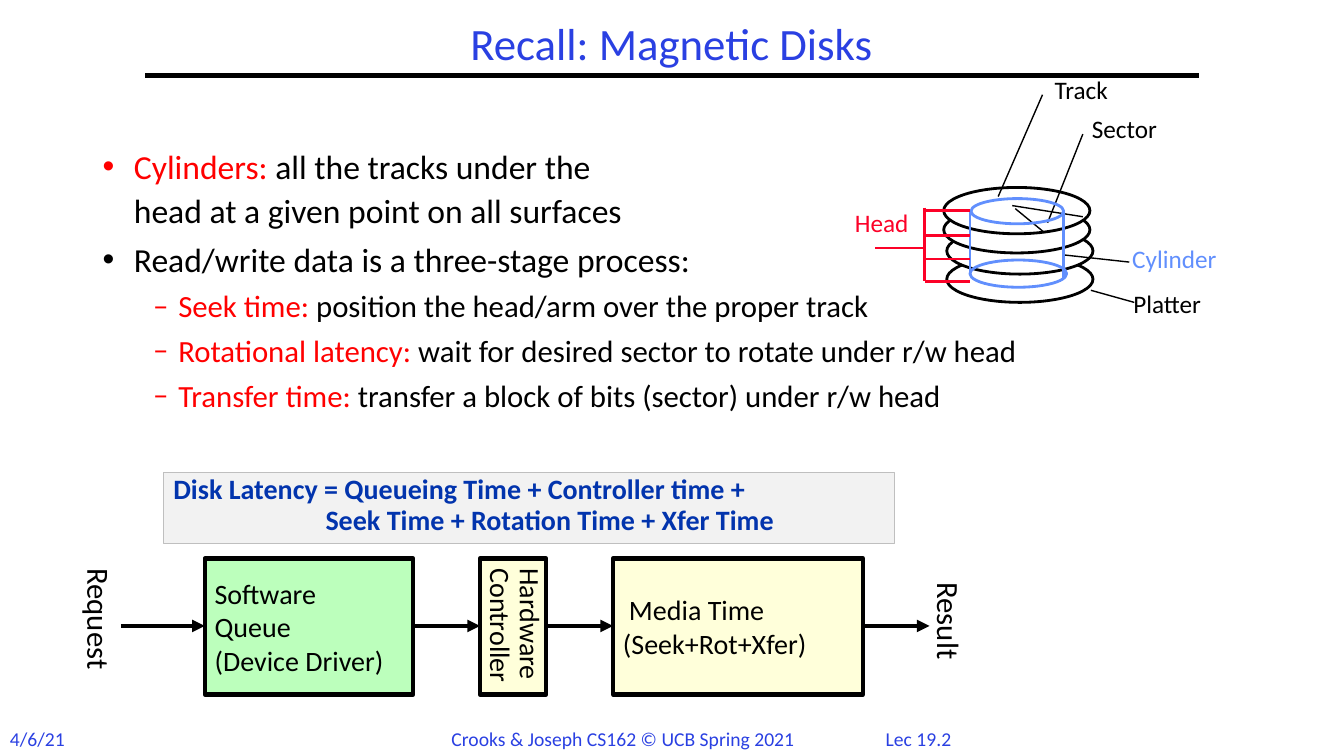
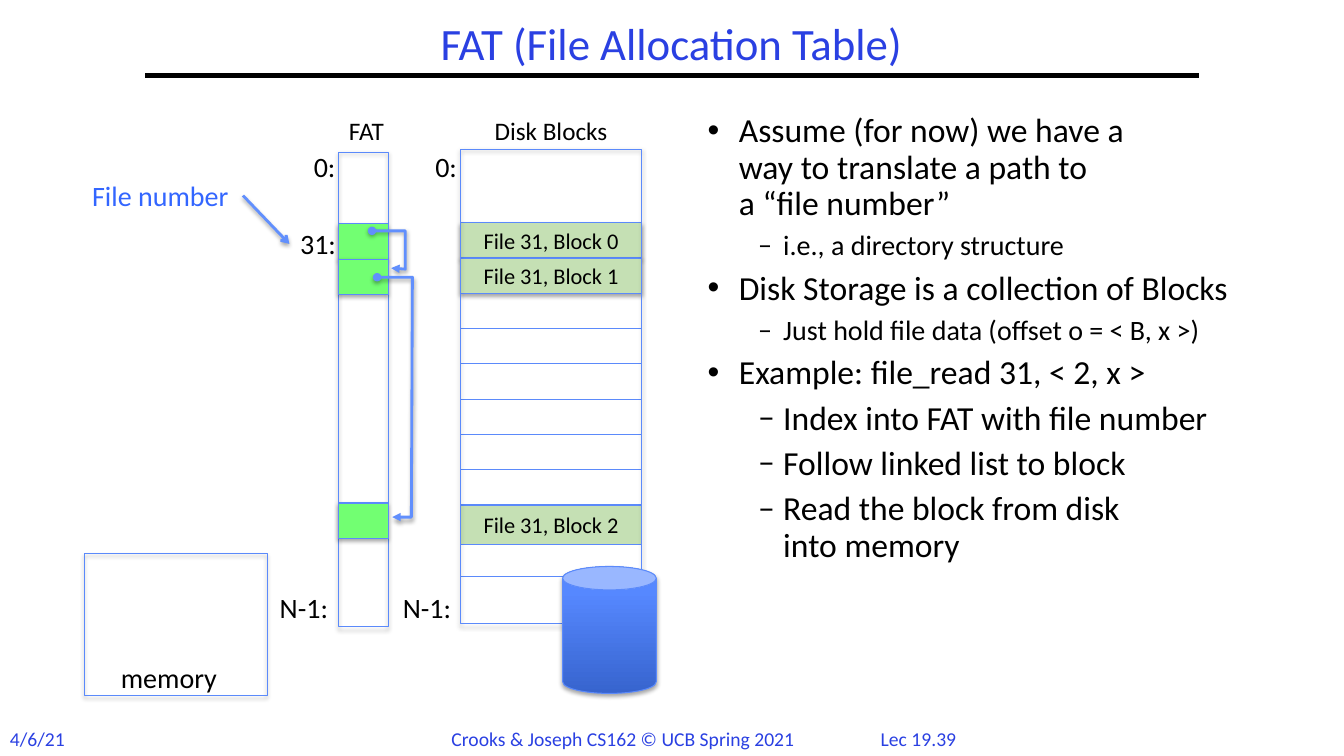
"""Build two lecture slides on magnetic disks and the file allocation table."""
import itertools

import pptx
import pptx.dml.color
import pptx.enum.shapes
import pptx.enum.text
import pptx.oxml
import pptx.oxml.ns
import pptx.util

Inches, Pt = pptx.util.Inches, pptx.util.Pt
SHAPE = pptx.enum.shapes.MSO_SHAPE
ALIGN = {"left": pptx.enum.text.PP_ALIGN.LEFT, "center": pptx.enum.text.PP_ALIGN.CENTER}
ANCHOR = {"top": pptx.enum.text.MSO_ANCHOR.TOP, "middle": pptx.enum.text.MSO_ANCHOR.MIDDLE}
FONT = "Calibri"
COLORS = {
    "black": "000000", "white": "FFFFFF", "title": "2A40E2", "key": "FF0000",
    "head": "FC0128", "cylinder": "618FFD", "queue": "BCFFBC", "stage": "FFFFDA",
    "formula": "0234AD", "formula_fill": "F2F2F2", "formula_edge": "BFBFBF",
    "edge": "5B8AFB", "fat": "72FF72", "block": "C5E0B4", "file": "3366FF",
    "can_low": "3764CE", "can_high": "5688FF",
}

FOOTER = [((0, 7.16, 0.8, 0.34), "4/6/21"),
          ((4.38, 7.16, 3.76, 0.34), "Crooks & Joseph CS162 © UCB Spring 2021")]
BULLETS = {0: ("•", 0.31, 0.31), 1: ("–", 0.75, 0.25)}

DISK_POINTS = [
    (0, 24, [("Cylinders: ", "key"),
             ("all the tracks under the \nhead at a given point on all surfaces", "black")]),
    (0, 24, [("Read/write data is a three-stage process:", "black")]),
    (1, 22, [("Seek time: ", "key"), ("position the head/arm over the proper track", "black")]),
    (1, 22, [("Rotational latency: ", "key"),
             ("wait for desired sector to rotate under r/w head", "black")]),
    (1, 22, [("Transfer time: ", "key"),
             ("transfer a block of bits (sector) under r/w head", "black")]),
]
PLATTERS = [(9.39, 2.54), (9.39, 2.26), (9.36, 2.05), (9.36, 1.86)]
CYLINDER_RIMS = [(9.62, 2.58, 0.96, 0.27), (9.63, 1.97, 0.92, 0.25)]
CYLINDER_SIDES = [(9.62, 2.09, 9.62, 2.71), (10.55, 2.09, 10.55, 2.76)]
SECTOR_EDGES = [(10.07, 2.07, 10.35, 2.3), (10.04, 2.04, 10.74, 2.15)]
LEADERS = [(10.39, 2.21, 10.74, 1.33), (9.9, 1.95, 10.34, 0.94),
           (10.56, 2.53, 11.2, 2.6), (10.82, 2.88, 11.25, 3)]
HEAD_ARMS = [2.09, 2.34, 2.57, 2.79]
HEAD_FRAME = [(9.17, 2.06, 9.17, 2.79), (8.68, 2.46, 9.18, 2.46)]
DISK_LABELS = [
    ((10.76, 1.14, 0.87, 0.31), "Sector", "black"),
    ((10.39, 0.75, 0.76, 0.31), "Track", "black"),
    ((11.16, 2.43, 1.07, 0.31), "Cylinder", "cylinder"),
    ((8.41, 2.07, 0.74, 0.31), "Head", "head"),
    ((11.17, 2.88, 0.87, 0.31), "Platter", "black"),
]
FORMULA = [("Disk Latency = Queueing Time + Controller time +", 0),
           ("Seek Time + Rotation Time + Xfer Time", 1.51)]
STAGES = [
    (2.03, 2.07, "queue", ["Software", "Queue", "(Device Driver)"], {}),
    (4.76, 0.66, "stage", ["Hardware", "Controller"],
     {"spacing": 0.8, "before": 2, "vert": "eaVert"}),
    (6.08, 2.48, "stage", ["Media Time", "(Seek+Rot+Xfer)"], {"indents": [0.06, 0]}),
]
FLOW_START, FLOW_END, FLOW_Y = 1.2, 9.22, 6.21
FLOW_ENDS = [((0.31, 5.98, 1.35, 0.47), "Request"), ((8.88, 5.98, 1.07, 0.47), "Result")]

FAT_POINTS = [
    (0, 24, [("Assume (for now) we have a \nway to translate a path to \na “file number”", "black")]),
    (1, 20, [("i.e., a directory structure", "black")]),
    (0, 24, [("Disk Storage is a collection of Blocks", "black")]),
    (1, 20, [("Just hold file data (offset o = < B, x >)", "black")]),
    (0, 24, [("Example: file_read 31, < 2, x >", "black")]),
    (1, 24, [("Index into FAT with file number", "black")]),
    (1, 24, [("Follow linked list to block", "black")]),
    (1, 24, [("Read the block from disk \ninto memory", "black")]),
]
BLOCK_X, BLOCK_W, BLOCK_TOP = 4.57, 1.79, 2.21
BLOCK_HEIGHTS = [0.35] * 8 + [0.39, 0.32]
FILE_BLOCKS = {0: "File 31, Block 0", 1: "File 31, Block 1", 8: "File 31, Block 2"}
FAT_X, FAT_W, FAT_ENTRIES = 3.36, 0.49, [2.22, 2.57, 4.99]
FRAMES = [(BLOCK_X, 1.48, BLOCK_W, 4.71), (FAT_X, 1.51, FAT_W, 4.71), (0.84, 5.49, 1.81, 1.41)]
FAT_LABELS = [
    ((4.61, 1.09, 1.71, 0.4), "Disk Blocks", 18, "black"),
    ((3.31, 1.09, 0.65, 0.4), "FAT", 18, "black"),
    ((3.86, 5.81, 0.75, 0.44), "N-1:", 20, "black"),
    ((4.19, 1.43, 0.47, 0.44), "0:", 20, "black"),
    ((3, 1.43, 0.44, 0.44), "0:", 20, "black"),
    ((2.65, 5.81, 0.73, 0.44), "N-1:", 20, "black"),
    ((2.86, 2.2, 0.59, 0.44), "31:", 20, "black"),
    ((0.75, 1.72, 1.68, 0.44), "File number", 20, "file"),
    ((1.07, 6.5, 1.21, 0.44), "memory", 20, "black"),
]
FAT_LINKS = [[(3.69, 2.29), (4.02, 2.29), (4.02, 2.67), (3.88, 2.66)],
             [(3.74, 2.75), (4.09, 2.75), (4.08, 5.13), (3.89, 5.13)]]


def rgb(name):
    return pptx.dml.color.RGBColor.from_string(COLORS[name])


def element(tag, parent, **attrs):
    el = pptx.oxml.parse_xml(f'<a:{tag} {pptx.oxml.ns.nsdecls("a")}/>')
    for key, value in attrs.items():
        el.set(key, str(value))
    parent.append(el)
    return el


def add_shadow(effects):
    shadow = element("outerShdw", effects, blurRad=Pt(3.1), dist=Pt(1.8), dir=5400000, rotWithShape=0)
    element("alpha", element("srgbClr", shadow, val=COLORS["black"]), val=35000)


def style_line(sp, color, width, head=None, tail=None):
    sp.line.color.rgb = rgb(color)
    sp.line.width = Pt(width)
    ln = sp.line._get_or_add_ln()
    for tag, kind in (("headEnd", head), ("tailEnd", tail)):
        if kind:
            element(tag, ln, type=kind)


def line(s, ends, color="black", width=1, tail=None, shadow=False):
    sp = s.shapes.add_connector(pptx.enum.shapes.MSO_CONNECTOR.STRAIGHT, *map(Inches, ends))
    style_line(sp, color, width, tail=tail)
    effects = element("effectLst", sp._element.spPr)
    if shadow:
        add_shadow(effects)
    return sp


def finish(sp, fill, shadow):
    if fill:
        sp.fill.solid()
        sp.fill.fore_color.rgb = rgb(fill)
    else:
        sp.fill.background()
    sp.shadow.inherit = False
    if shadow:
        add_shadow(sp._element.spPr.find(pptx.oxml.ns.qn("a:effectLst")))


def shape(s, kind, at, fill=None, edge="edge", width=0.75, shadow=False):
    sp = s.shapes.add_shape(kind, *map(Inches, at))
    style_line(sp, edge, width)
    finish(sp, fill, shadow)
    return sp


def frame(sp, anchor="top", inset=(0.1, 0.05)):
    tf = sp.text_frame
    tf.word_wrap = True
    tf.vertical_anchor = ANCHOR[anchor]
    tf.margin_left = tf.margin_right = Inches(inset[0])
    tf.margin_top = tf.margin_bottom = Inches(inset[1])
    return tf


def add_para(tf, first, runs, size, align="left", spacing=1.0, before=0, indent=0, bold=False):
    p = tf.paragraphs[0] if first else tf.add_paragraph()
    p.alignment = ALIGN[align]
    p.line_spacing = spacing
    p.space_before = Pt(0 if first else before)
    if indent:
        p._p.get_or_add_pPr().set("marL", str(Inches(indent)))
    for text, color in runs:
        for i, piece in enumerate(text.split("\n")):
            if i:
                p.add_line_break()
            r = p.add_run()
            r.text = piece
            r.font.name, r.font.size, r.font.bold = FONT, Pt(size), bold
            r.font.color.rgb = rgb(color)
    return p


def label(s, at, text, size, color="black", align="left", spacing=1.0, **box):
    sp = s.shapes.add_textbox(*map(Inches, at))
    add_para(frame(sp, **box), True, [(text, color)], size, align, spacing)
    return sp


def body(s, at, points, spacing, before):
    tf = frame(s.shapes.add_textbox(*map(Inches, at)))
    for i, (level, size, runs) in enumerate(points):
        char, left, hang = BULLETS[level]
        p = add_para(tf, i == 0, runs, size, spacing=spacing, before=before, indent=left)
        pPr = p._p.get_or_add_pPr()
        pPr.set("indent", str(-Inches(hang)))
        element("srgbClr", element("buClr", pPr), val=COLORS[runs[0][1]])
        element("buFont", pPr, typeface="Arial" if level == 0 else FONT)
        element("buChar", pPr, char=char)


def lecture_slide(prs, title, number):
    s = prs.slides.add_slide(prs.slide_layouts[6])
    line(s, (1.44, 0.75, 11.89, 0.75), width=3)
    for at, text in FOOTER:
        label(s, at, text, 14, "title")
    label(s, (8.5, 7.16, 1.22, 0.33), number, 14, "title", "center")
    label(s, (1.44, 0.17, 10.44, 0.58), title, 32, "title", "center", 0.9, anchor="middle")
    return s


def draw_disk(s):
    for x, y in PLATTERS:
        shape(s, SHAPE.OVAL, (x, y, 1.45, 0.46), "white", "black", 2)
    for ends in SECTOR_EDGES + LEADERS:
        line(s, ends)
    for at in CYLINDER_RIMS:
        shape(s, SHAPE.OVAL, at, edge="cylinder", width=2)
    for ends in CYLINDER_SIDES:
        line(s, ends, "cylinder", 2)
    for ends in HEAD_FRAME + [(9.17, y, 9.62, y) for y in HEAD_ARMS]:
        line(s, ends, "head", 2)
    for at, text, color in DISK_LABELS:
        label(s, at, text, 18, color, spacing=0.85, inset=(0.07, 0.03))


def draw_flow(s):
    left = FLOW_START
    for x, w, fill, rows, style in STAGES:
        style = dict(style)
        indents = style.pop("indents", [0] * len(rows))
        vert = style.pop("vert", None)
        tf = frame(shape(s, SHAPE.RECTANGLE, (x, 5.54, w, 1.35), fill, "black", 3), "middle")
        if vert:
            tf._txBody.bodyPr.set("vert", vert)
        for i, (row, indent) in enumerate(zip(rows, indents)):
            add_para(tf, i == 0, [(row, "black")], 20, indent=indent, **style)
        line(s, (left, FLOW_Y, x, FLOW_Y), width=3, tail="triangle")
        left = x + w
    line(s, (left, FLOW_Y, FLOW_END, FLOW_Y), width=3, tail="triangle")
    for at, text in FLOW_ENDS:
        label(s, at, text, 22).rotation = 90


def disk_slide(prs):
    s = lecture_slide(prs, "Recall: Magnetic Disks", "Lec 19.2")
    body(s, (0.92, 1.36, 11.5, 3.28), DISK_POINTS, 1.1, 3)
    draw_disk(s)
    draw_flow(s)
    tf = frame(shape(s, SHAPE.RECTANGLE, (1.62, 4.69, 7.25, 0.7), "formula_fill", "formula_edge"))
    for i, (text, indent) in enumerate(FORMULA):
        add_para(tf, i == 0, [(text, "formula")], 20, spacing=0.8, before=3, indent=indent, bold=True)


def fat_slide(prs):
    s = lecture_slide(prs, "FAT (File Allocation Table)", "Lec 19.39")
    body(s, (6.92, 1.08, 5.63, 4.76), FAT_POINTS, 0.9, 6.5)
    tops = itertools.accumulate(BLOCK_HEIGHTS, initial=BLOCK_TOP)
    for i, (top, h) in enumerate(zip(tops, BLOCK_HEIGHTS)):
        text = FILE_BLOCKS.get(i)
        sp = shape(s, SHAPE.RECTANGLE, (BLOCK_X, top, BLOCK_W, h),
                   "block" if text else None, shadow=i < 2)
        if text:
            add_para(frame(sp, "middle"), True, [(text, "black")], 16, "center")
    for at in FRAMES:
        shape(s, SHAPE.RECTANGLE, at, shadow=True)
    for y in FAT_ENTRIES:
        shape(s, SHAPE.RECTANGLE, (FAT_X, y, FAT_W, 0.35), "fat", shadow=True)
    for at, text, size, color in FAT_LABELS:
        label(s, at, text, size, color, "center")
    line(s, (2.41, 1.94, 2.87, 2.42), "cylinder", 2, "arrow", True)
    for points in FAT_LINKS:
        start, *rest = [(Inches(x), Inches(y)) for x, y in points]
        builder = s.shapes.build_freeform(*start, scale=1.0)
        builder.add_line_segments(rest, close=False)
        sp = builder.convert_to_shape()
        style_line(sp, "cylinder", 2, "oval", "triangle")
        finish(sp, None, True)
    can = shape(s, SHAPE.CAN, (5.58, 5.62, 0.93, 1.26), "can_high", shadow=True)
    can.fill.gradient()
    can.fill.gradient_angle = 90
    for stop, color, position in zip(can.fill.gradient_stops, ("can_low", "can_high"), (0, 0.8)):
        stop.color.rgb = rgb(color)
        stop.position = position


def main():
    prs = pptx.Presentation()
    prs.slide_width, prs.slide_height = Inches(13.33), Inches(7.5)
    disk_slide(prs)
    fat_slide(prs)
    prs.save("out.pptx")


if __name__ == "__main__":
    main()
